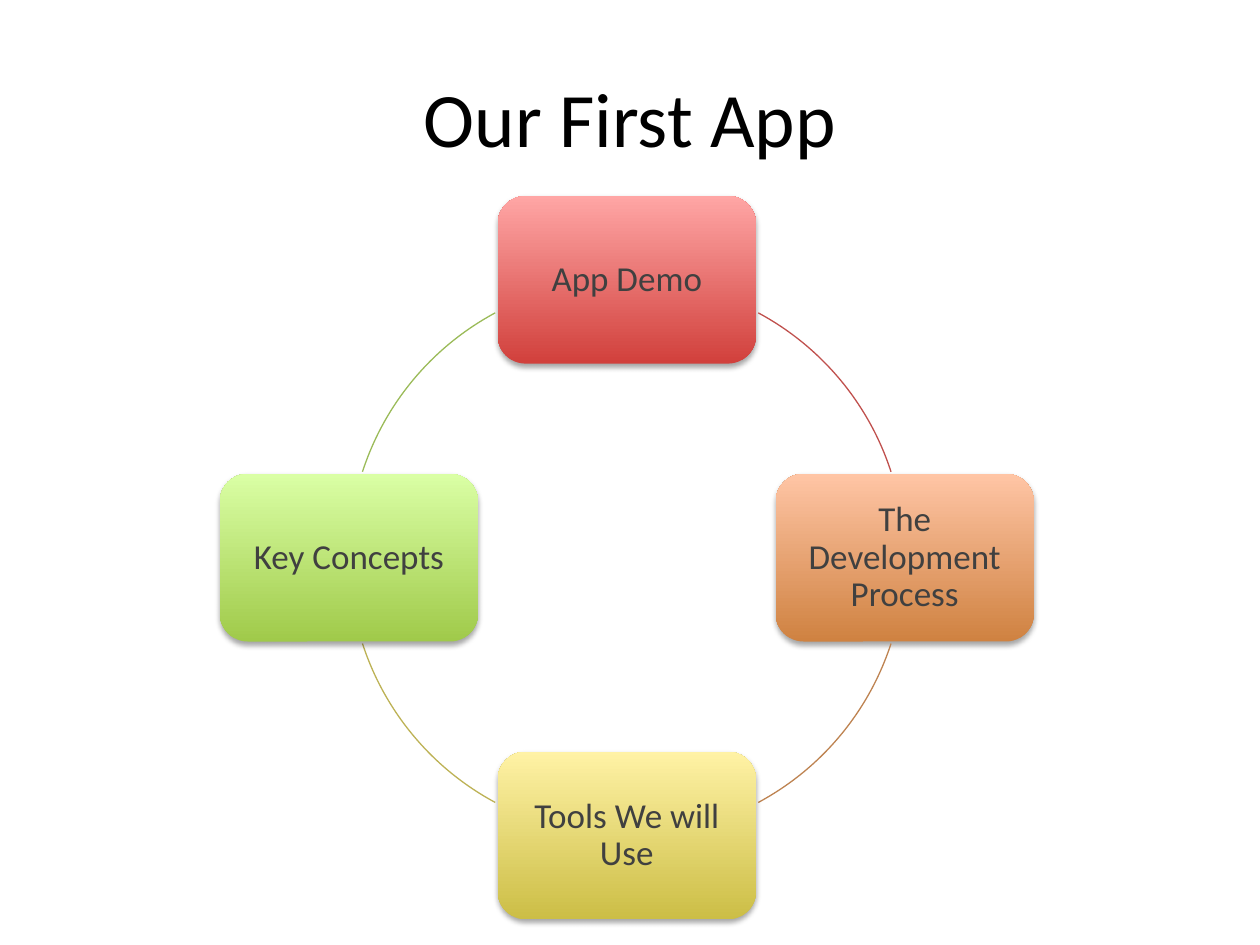
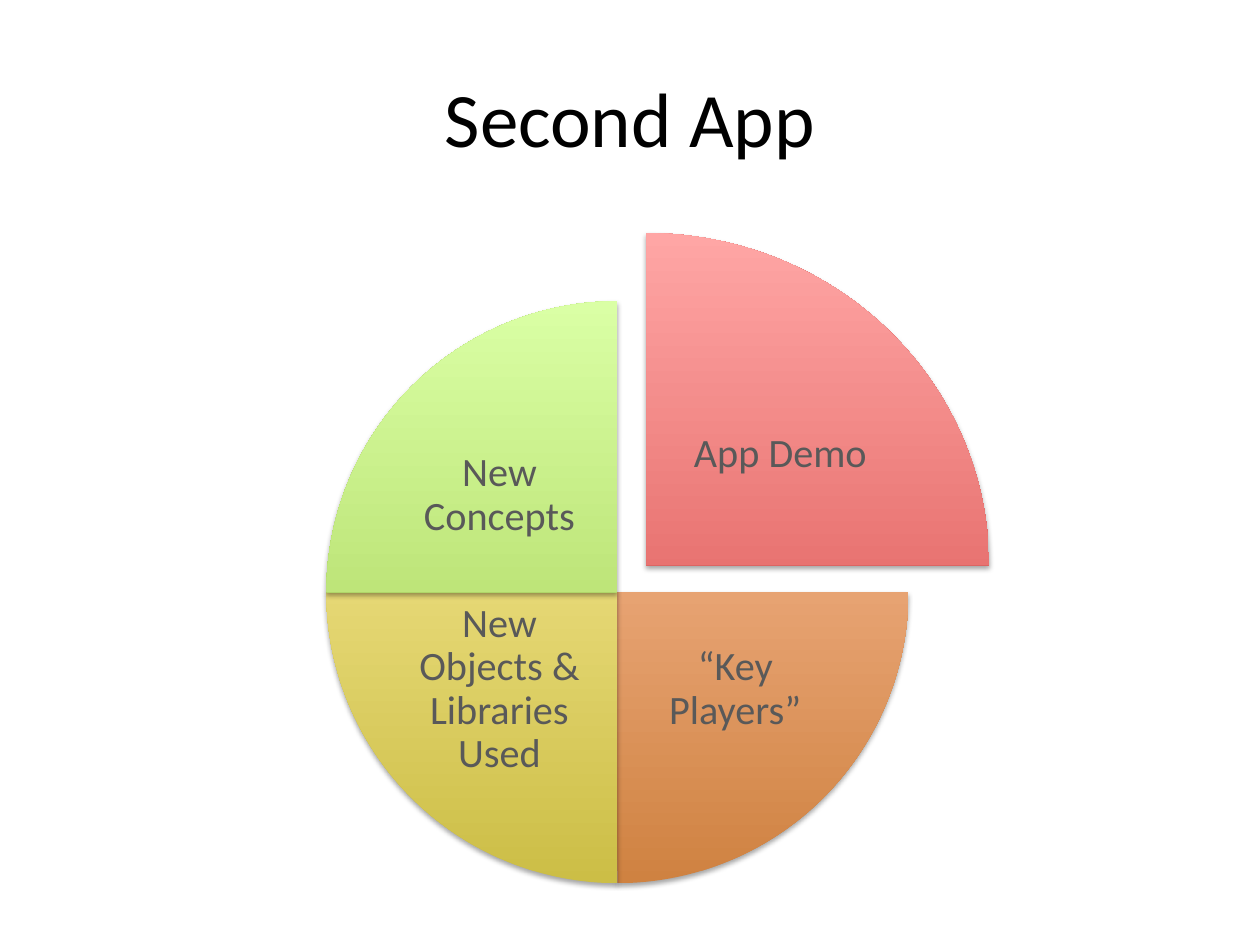
from math import cos, radians, sin

from lxml import etree
from pptx import Presentation
from pptx.dml.color import RGBColor
from pptx.enum import shapes, text
from pptx.oxml import ns
from pptx.util import Pt

# Content: label and theme, clockwise from the top
CYCLE_TITLE = "Our First App"
CYCLE = [("App Demo", "red"), ("The Development Process", "orange"),
         ("Tools We will Use", "yellow"), ("Key Concepts", "green")]

PIE_TITLE = "Second App"
PIE = [("App Demo", "red"), ("“Key Players”", "orange"),
       ("New Objects & Libraries Used", "yellow"), ("New Concepts", "green")]

# Shared look
COLORS = {
    "title": "000000", "box_text": "404040", "pie_text": "595959", "shadow": "000000",
    "red_dark": "D1403C", "red_light": "FFA6A5", "red_line": "C0504D",
    "orange_dark": "CF8241", "orange_light": "FFC5A5", "orange_line": "BE8351",
    "yellow_dark": "CCBE46", "yellow_light": "FFF2A5", "yellow_line": "BDB255",
    "green_dark": "A0CA4A", "green_light": "DAFFA5", "green_line": "9BBB59",
}
FONT = "Calibri"
SHADOW = {"blurRad": Pt(3.1), "dist": Pt(1.8), "dir": 90 * 60000, "rotWithShape": 0}
SHADOW_ALPHA = 35000
ANGLE_UNIT = 0.6  # adjustment value per degree

# Cycle layout in points
CENTER_X, CENTER_Y, RADIUS = 358.2, 318.7, 158.8
BOX_W, BOX_H = 147.6, 95.8
ARC_NEAR, ARC_FAR = 18, 61.75  # degrees from the horizontal where an arc meets a box

# Pie layout in points: left, top, width, height
DISC = (186.5, 172.1, 332.6, 332.6)
PULLED_DISC = (173.5, 133.2, 391.7, 379.4)
LABEL_W, LABEL_H = 123.1, 99.4
LEFT_X, RIGHT_X, UPPER_Y, LOWER_Y = 223.9, 358.6, 233.3, 344.2
LABELS = [(373.7, 203, 144.7, 113), (RIGHT_X, LOWER_Y, LABEL_W, LABEL_H),
          (LEFT_X, LOWER_Y, LABEL_W, LABEL_H), (LEFT_X, UPPER_Y, LABEL_W, LABEL_H)]


def rgb(name):
    return RGBColor.from_string(COLORS[name])


def write(s, words, size, color, inset=None, spacing=1.0):
    tf = s.text_frame
    frame = {"word_wrap": True, "vertical_anchor": text.MSO_ANCHOR.MIDDLE}
    if inset is not None:
        for side in ("left", "right", "top", "bottom"):
            frame[f"margin_{side}"] = Pt(inset)
    p = tf.paragraphs[0]
    r = p.add_run()
    r.text = words
    r.font.color.rgb = rgb(color)
    formats = [(tf, frame),
               (p, {"alignment": text.PP_ALIGN.CENTER, "line_spacing": spacing}),
               (r.font, {"size": Pt(size), "name": FONT})]
    for target, values in formats:
        for key, value in values.items():
            setattr(target, key, value)


def add_text(slide, box, *args, **kwargs):
    write(slide.shapes.add_textbox(*map(Pt, box)), *args, **kwargs)


def add_preset(slide, kind, box, angles=()):
    s = slide.shapes.add_shape(kind, *map(Pt, box))
    s.shadow.inherit = False
    for i, angle in enumerate(angles):
        s.adjustments[i] = angle * ANGLE_UNIT
    return s


def shade(s, theme):
    """Gradient from dark at the bottom to light at the top, with a soft shadow."""
    s.line.fill.background()
    s.fill.gradient()
    s.fill.gradient_angle = 90
    for stop, tone in zip(s.fill.gradient_stops, ("dark", "light")):
        stop.color.rgb = rgb(f"{theme}_{tone}")
    effects = s._element.spPr.find(ns.qn("a:effectLst"))
    outer = etree.SubElement(effects, ns.qn("a:outerShdw"))
    for key, value in SHADOW.items():
        outer.set(key, str(value))
    color = etree.SubElement(outer, ns.qn("a:srgbClr"), val=COLORS["shadow"])
    etree.SubElement(color, ns.qn("a:alpha"), val=str(SHADOW_ALPHA))


def new_slide(prs, title):
    slide = prs.slides.add_slide(prs.slide_layouts[6])
    add_text(slide, (36, 21.6, 648, 90), title, 44, "title")
    return slide


def build_cycle(prs):
    slide = new_slide(prs, CYCLE_TITLE)
    ring = (CENTER_X - RADIUS, CENTER_Y - RADIUS, 2 * RADIUS, 2 * RADIUS)
    arcs = [(360 - ARC_FAR, 360 - ARC_NEAR), (ARC_NEAR, ARC_FAR),
            (180 - ARC_FAR, 180 - ARC_NEAR), (180 + ARC_NEAR, 180 + ARC_FAR)]
    for i, ((label, theme), (start, end)) in enumerate(zip(CYCLE, arcs)):
        # Box on the ring
        turn = radians(90 * i - 90)
        x, y = CENTER_X + RADIUS * cos(turn), CENTER_Y + RADIUS * sin(turn)
        s = add_preset(slide, shapes.MSO_SHAPE.ROUNDED_RECTANGLE,
                       (x - BOX_W / 2, y - BOX_H / 2, BOX_W, BOX_H))
        shade(s, theme)
        write(s, label, 20, "box_text", inset=6, spacing=0.9)
        # Arc to the next box; python-pptx takes arc angles up to 180 either way
        s = add_preset(slide, shapes.MSO_SHAPE.ARC, ring, (start, end))
        s.fill.background()
        s.line.color.rgb = rgb(f"{theme}_line")
        s.line.width = Pt(0.75)


def build_pie(prs):
    slide = new_slide(prs, PIE_TITLE)
    for i, ((label, theme), box) in enumerate(zip(PIE, LABELS)):
        start = (270 + 90 * i) % 360
        s = add_preset(slide, shapes.MSO_SHAPE.PIE, DISC if i else PULLED_DISC,
                       (start, (start + 90) % 360))
        shade(s, theme)
        add_text(slide, box, label, 23, "pie_text", inset=2.3, spacing=0.9)


def main():
    prs = Presentation()
    prs.slide_width, prs.slide_height = Pt(720), Pt(540)
    build_cycle(prs)
    build_pie(prs)
    prs.save("out.pptx")


if __name__ == "__main__":
    main()
